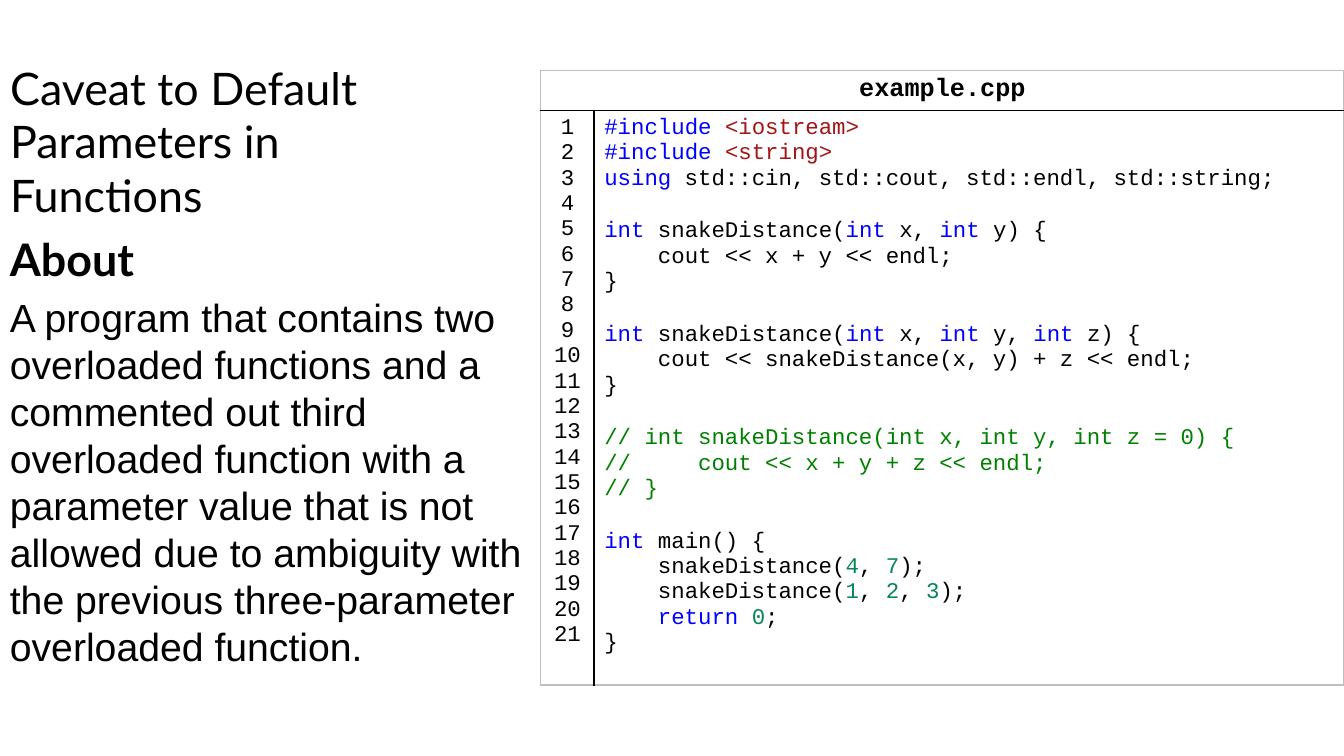
"""Build a slide that pairs a C++ listing with a short explanation."""
from dataclasses import dataclass
from itertools import groupby

from lxml import etree
from pptx import Presentation, util as u
from pptx.dml.color import RGBColor
from pptx.enum import text
from pptx.oxml.ns import qn

PX = 9525


@dataclass(frozen=True)
class Theme:
    """Colours, fonts and type sizes."""
    ink: str = "000000"
    keyword: str = "0000FF"
    header: str = "A31515"
    comment: str = "008000"
    number: str = "098658"
    frame: str = "BFBFBF"
    heading_font: str = "Lato"
    body_font: str = "Arial"
    code_font: str = "Courier New"
    blank_font: str = "Calibri"
    heading_size: int = 32
    body_size: int = 28
    body_leading: float = 33.6
    file_size: int = 18
    code_size: int = 16


@dataclass(frozen=True)
class Box:
    """A rectangle in px."""
    left: int
    top: int
    width: int
    height: int

    def emu(self) -> list[int]:
        """Return the rectangle in EMU."""
        return [side * PX for side in (self.left, self.top, self.width, self.height)]


@dataclass(frozen=True)
class Span:
    """A piece of code in one colour."""
    words: str
    color: str


@dataclass(frozen=True)
class Border:
    """A table line, with its width in points."""
    color: str
    width: float


THEME = Theme()
TITLE_BOX = Box(0, 48, 413, 168)
ABOUT_BOX = Box(0, 216, 515, 400)
TABLE_BOX = Box(515, 67, 765, 562)
NUMBER_WIDTH, HEADER_HEIGHT = 51, 37
FRAME = Border(THEME.frame, 1)
RULE = Border(THEME.ink, 1)
DIVIDER = Border(THEME.ink, 1.5)
KEYWORDS = {"using", "int", "return"}
ABOUT = (
    "A program that contains two overloaded functions and a commented out third "
    "overloaded function with a parameter value that is not allowed due to ambiguity "
    "with the previous three-parameter overloaded function."
)
CODE = """#include <iostream>
#include <string>
using std::cin, std::cout, std::endl, std::string;

int snakeDistance(int x, int y) {
    cout << x + y << endl;
}

int snakeDistance(int x, int y, int z) {
    cout << snakeDistance(x, y) + z << endl;
}

// int snakeDistance(int x, int y, int z = 0) {
//     cout << x + y + z << endl;
// }

int main() {
    snakeDistance(4, 7);
    snakeDistance(1, 2, 3);
    return 0;
}""".split("\n")


def highlight(line: str) -> list[Span]:
    """Split a line of code into coloured spans."""
    if line.startswith("//"):
        return [Span(line, THEME.comment)]
    if line.startswith("#include"):
        directive, gap, header = line.partition(" ")
        return [Span(directive + gap, THEME.keyword), Span(header, THEME.header)]
    tokens = []
    for _, letters in groupby(line or " ", key=str.isalnum):
        token = "".join(letters)
        color = THEME.keyword if token in KEYWORDS else THEME.ink
        tokens.append(Span(token, THEME.number if token.isdigit() else color))
    return [
        Span("".join(token.words for token in same), color)
        for color, same in groupby(tokens, key=lambda token: token.color)
    ]


def style(para, name: str, size: int, bold: bool = False, color: str | None = THEME.ink) -> None:
    """Set the font of a paragraph."""
    font = para.font
    font.name, font.size, font.bold = name, u.Pt(size), bold
    if color:
        font.color.rgb = RGBColor.from_string(color)


def write_lines(frame, lines: list[list[Span]], align=text.PP_ALIGN.LEFT) -> None:
    """Write one paragraph of code for each line."""
    for index, spans in enumerate(lines):
        para = frame.add_paragraph() if index else frame.paragraphs[0]
        para.alignment = align
        blank = not "".join(span.words for span in spans).strip()
        colors = {span.color for span in spans}
        shared = colors.pop() if len(colors) == 1 else None
        name = THEME.blank_font if blank else THEME.code_font
        style(para, name, THEME.code_size, color=shared)
        for span in spans:
            run = para.add_run()
            run.text = span.words
            if not shared:
                run.font.color.rgb = RGBColor.from_string(span.color)


def set_borders(cell, borders: dict[str, Border]) -> None:
    """Clear a cell's fill and draw its side lines."""
    cell.fill.background()
    properties = cell._tc.get_or_add_tcPr()
    for index, side in enumerate("LRTB"):
        border = borders[side]
        line = etree.Element(qn(f"a:ln{side}"), w=str(int(u.Pt(border.width))))
        fill = etree.SubElement(line, qn("a:solidFill"))
        etree.SubElement(fill, qn("a:srgbClr"), val=border.color)
        properties.insert(index, line)


def add_title(page) -> None:
    """Place and format the title."""
    title = page.shapes.title
    title.left, title.top, title.width, title.height = TITLE_BOX.emu()
    frame = title.text_frame
    frame.text = "Caveat to Default Parameters in Functions"
    frame.word_wrap, frame.auto_size = True, text.MSO_AUTO_SIZE.NONE
    frame.vertical_anchor = text.MSO_ANCHOR.BOTTOM
    frame.paragraphs[0].alignment = text.PP_ALIGN.LEFT
    style(frame.paragraphs[0], THEME.heading_font, THEME.heading_size)


def add_about(page) -> None:
    """Add the explanation on the left."""
    frame = page.shapes.add_textbox(*ABOUT_BOX.emu()).text_frame
    frame.word_wrap = True
    heading, body = frame.paragraphs[0], frame.add_paragraph()
    heading.text, body.text = "About", ABOUT
    body.space_before = u.Pt(THEME.body_size * 0.2)
    body.line_spacing = u.Pt(THEME.body_leading)
    style(heading, THEME.heading_font, THEME.heading_size, bold=True)
    style(body, THEME.body_font, THEME.body_size)


def add_listing(page) -> None:
    """Add the table with the file name, line numbers and code."""
    table = page.shapes.add_table(2, 2, *TABLE_BOX.emu()).table
    table.first_row = table.horz_banding = False
    for column, width in zip(table.columns, (NUMBER_WIDTH, TABLE_BOX.width - NUMBER_WIDTH)):
        column.width = width * PX
    for row, height in zip(table.rows, (HEADER_HEIGHT, TABLE_BOX.height - HEADER_HEIGHT)):
        row.height = height * PX
    header, numbers, code = table.cell(0, 0), table.cell(1, 0), table.cell(1, 1)
    header.merge(table.cell(0, 1))
    outer = dict.fromkeys("LRTB", FRAME)
    for cell in (header, table.cell(0, 1)):
        set_borders(cell, outer | {"B": RULE})
    set_borders(numbers, outer | {"T": RULE, "R": DIVIDER})
    set_borders(code, outer | {"T": RULE, "L": DIVIDER})
    para = header.text_frame.paragraphs[0]
    para.text, para.alignment = "example.cpp", text.PP_ALIGN.CENTER
    style(para, THEME.code_font, THEME.file_size, bold=True)
    counts = [[Span(str(count), THEME.ink)] for count in range(1, len(CODE) + 1)]
    write_lines(numbers.text_frame, counts, text.PP_ALIGN.CENTER)
    write_lines(code.text_frame, [highlight(line) for line in CODE])


def main() -> None:
    """Build and save the deck."""
    deck = Presentation()
    deck.slide_width, deck.slide_height = 1280 * PX, 720 * PX
    page = deck.slides.add_slide(deck.slide_layouts[5])
    add_title(page)
    add_about(page)
    add_listing(page)
    deck.save("out.pptx")


if __name__ == "__main__":
    main()
